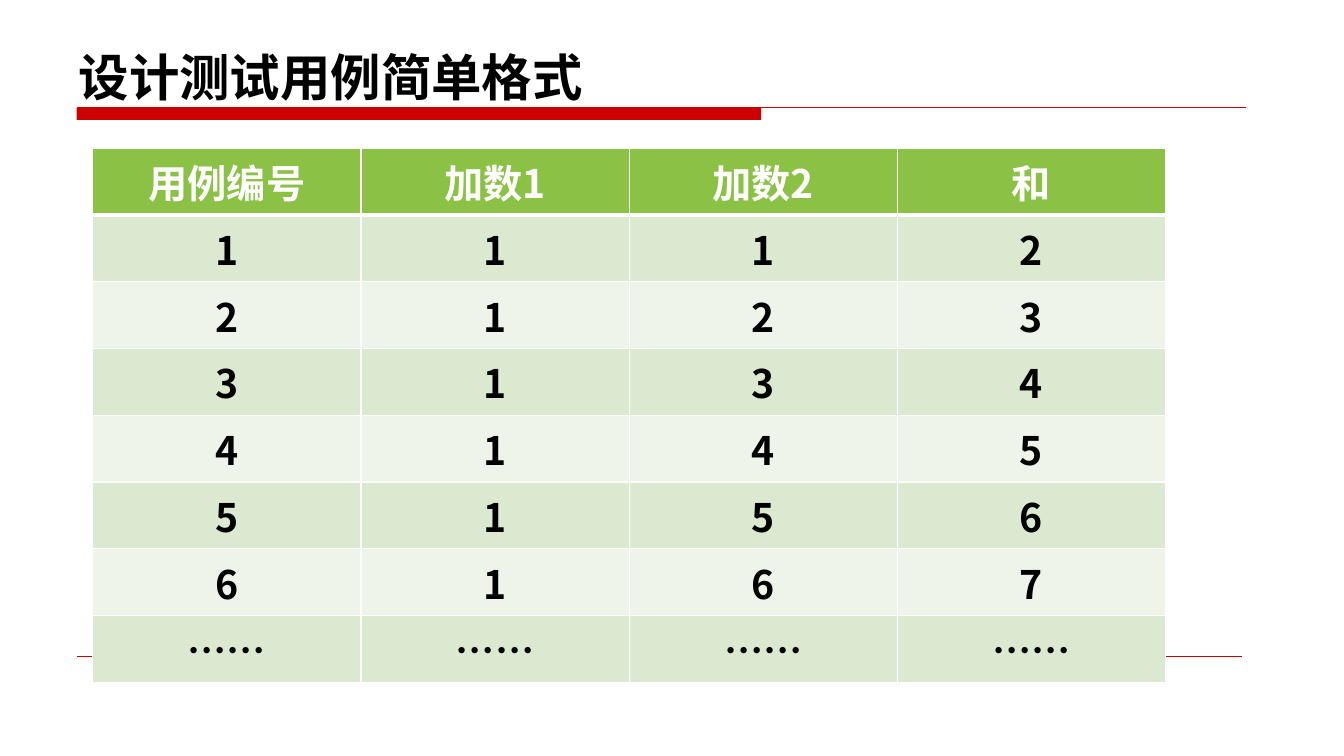
from lxml import etree
from pptx import Presentation
from pptx import util as u
from pptx.dml.color import RGBColor
from pptx.enum import shapes, text
from pptx.oxml import ns

COLORS = {
    "red": "CC0000", "black": "000000", "white": "FFFFFF",
    "header": "8BC145", "odd": "DAE9CF", "even": "EEF4E9",
}
HEADINGS = ["用例编号", "加数1", "加数2", "和"]
CASES = [[str(n), "1", str(n), str(n + 1)] for n in range(1, 7)]
ROWS = [HEADINGS] + CASES + [["……"] * 4]


def color(name):
    return RGBColor.from_string(COLORS[name])


class TestCaseSlide:
    font = "Noto Sans CJK SC"

    def __init__(self, deck):
        self.slide = deck.slides.add_slide(deck.slide_layouts[5])

    def add_run(self, paragraph, words, size, ink):
        run = paragraph.add_run()
        run.text = words
        run.font.name = self.font
        run.font.size = u.Pt(size)
        run.font.bold = True
        run.font.color.rgb = color(ink)
        # East Asian typeface
        etree.SubElement(run.font._element, ns.qn("a:ea"), typeface=self.font)

    def title(self, words, left, top, width, height):
        heading = self.slide.shapes.title
        heading.left, heading.top = u.Inches(left), u.Inches(top)
        heading.width, heading.height = u.Inches(width), u.Inches(height)
        frame = heading.text_frame
        frame.word_wrap = True
        frame.auto_size = text.MSO_AUTO_SIZE.NONE
        frame.vertical_anchor = text.MSO_ANCHOR.BOTTOM
        frame.paragraphs[0].alignment = text.PP_ALIGN.LEFT
        self.add_run(frame.paragraphs[0], words, 36, "black")

    def bar(self, left, top, width, height):
        bar = self.slide.shapes.add_shape(
            shapes.MSO_SHAPE.RECTANGLE, u.Inches(left), u.Inches(top),
            u.Inches(width), u.Inches(height))
        bar.shadow.inherit = False
        bar.fill.solid()
        bar.fill.fore_color.rgb = color("red")
        bar.line.fill.background()

    def rule(self, left, right, y, weight):
        rule = self.slide.shapes.add_connector(
            shapes.MSO_CONNECTOR.STRAIGHT, u.Inches(left), u.Inches(y),
            u.Inches(right), u.Inches(y))
        rule.line.color.rgb = color("red")
        rule.line.width = u.Pt(weight)
        etree.SubElement(rule._element.spPr, ns.qn("a:effectLst"))

    def borders(self, cell, weights):
        props = cell._tc.get_or_add_tcPr()
        for side, weight in weights.items():
            edge = etree.SubElement(props, ns.qn("a:ln" + side), w=str(u.Pt(weight)))
            fill = etree.SubElement(edge, ns.qn("a:solidFill"))
            etree.SubElement(fill, ns.qn("a:srgbClr"), val=COLORS["white"])

    def table(self, rows, left, top, col_width, row_height):
        count = len(rows[0])
        grid = self.slide.shapes.add_table(
            len(rows), count, u.Inches(left), u.Inches(top),
            u.Inches(col_width * count), u.Inches(row_height * len(rows))).table
        for r, row in enumerate(rows):
            band = "header" if r == 0 else "odd" if r % 2 else "even"
            weights = {"L": 1, "R": 1, "T": 3 if r == 1 else 1, "B": 3 if r == 0 else 1}
            for c, words in enumerate(row):
                cell = grid.cell(r, c)
                self.borders(cell, weights)
                cell.fill.solid()
                cell.fill.fore_color.rgb = color(band)
                paragraph = cell.text_frame.paragraphs[0]
                paragraph.alignment = text.PP_ALIGN.CENTER
                self.add_run(paragraph, words, 28, "black" if r else "white")


def main():
    deck = Presentation()
    deck.slide_width, deck.slide_height = u.Inches(13.33), u.Inches(7.5)
    page = TestCaseSlide(deck)

    # Title with its red underline
    page.title("设计测试用例简单格式", 0.68, 0.29, 11.5, 0.82)
    page.bar(0.76, 1.07, 6.79, 0.12)
    page.rule(0.76, 12.36, 1.07, 0.75)

    # Footer rule, behind the table
    page.rule(0.76, 12.32, 6.51, 0.25)

    # Test cases
    page.table(ROWS, 0.92, 1.47, 2.66, 0.6)

    deck.save("out.pptx")


if __name__ == "__main__":
    main()
